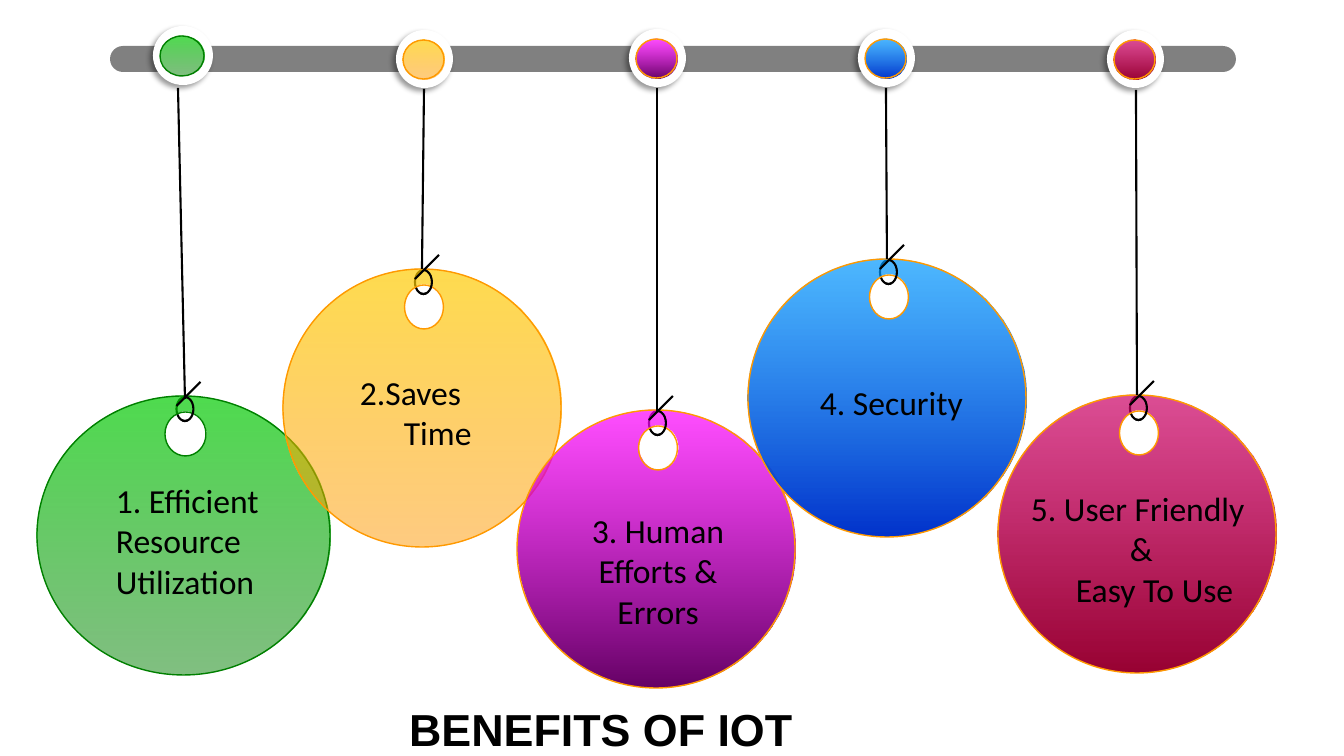
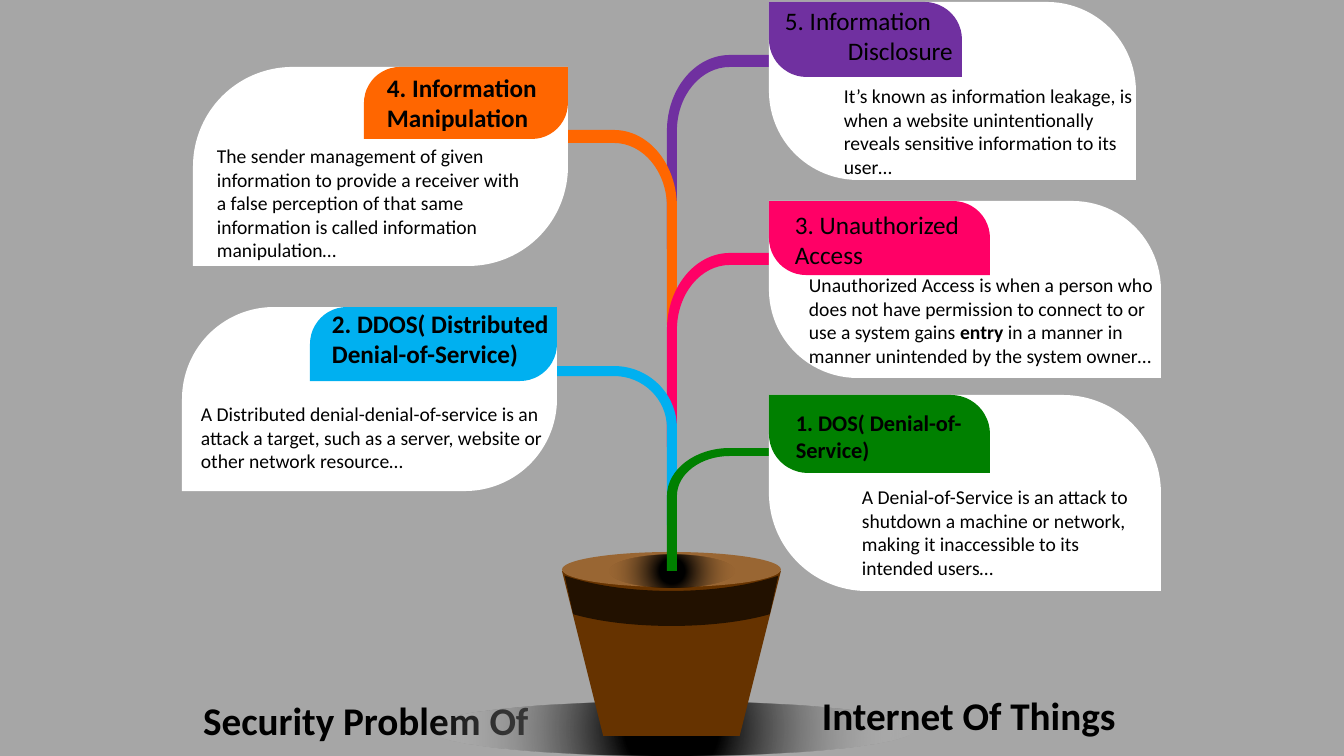
import math
from lxml import etree
from pptx import Presentation
from pptx.dml.color import RGBColor
from pptx.enum.shapes import MSO_CONNECTOR, MSO_SHAPE
from pptx.enum.text import MSO_ANCHOR, MSO_AUTO_SIZE, PP_ALIGN
from pptx.oxml.ns import qn
from pptx.util import Pt

PX = 914400 / 100.8
LEFT, CENTER = PP_ALIGN.LEFT, PP_ALIGN.CENTER
TOP, NO_FIT = MSO_ANCHOR.TOP, MSO_AUTO_SIZE.NONE
ELLIPSE, ARC, TRAPEZOID = MSO_SHAPE.OVAL, MSO_SHAPE.ARC, MSO_SHAPE.TRAPEZOID
BAR, LEAF = MSO_SHAPE.ROUNDED_RECTANGLE, MSO_SHAPE.ROUND_2_DIAG_RECTANGLE
STRAIGHT = MSO_CONNECTOR.STRAIGHT

COLORS = {
    "black": "000000", "white": "FFFFFF", "bar": "808080", "backdrop": "A6A6A6",
    "green": "008000", "orange": "FF9900", "haze": "D9D9D9",
    "pot": "663300", "soil": "996633", "band": "221100",
    "purple": "7030A0", "tangerine": "FF6600", "pink": "FF0066", "sky": "00B0F0",
}
HEADING = {"name": "Calibri", "size": Pt(28), "bold": True}
BENEFIT = {"name": "Calibri", "size": Pt(24), "bold": False}
BODY = {"name": "Calibri", "size": Pt(14), "bold": False}


def px(*values):
    return [round(v * PX) for v in values]


def rgb(name):
    return RGBColor.from_string(COLORS[name])


def finish(sh, fill=None, line=None, width=1):
    sh.shadow.inherit = False
    if fill:
        sh.fill.solid()
        sh.fill.fore_color.rgb = rgb(fill)
    else:
        sh.fill.background()
    if line:
        sh.line.color.rgb = rgb(line)
        sh.line.width = Pt(width)
    else:
        sh.line.fill.background()
    return sh


def add(s, kind, box, fill=None, line=None, width=1, adj=(), flip=None):
    sh = s.shapes.add_shape(kind, *px(*box))
    for i, value in enumerate(adj):
        sh.adjustments[i] = value
    if flip:
        sh.element.spPr.find(qn("a:xfrm")).set(flip, "1")
    return finish(sh, fill, line, width)


def gradient(sh, stops, radial=False):
    sh.fill.gradient()
    grad = sh.element.spPr.find(qn("a:gradFill"))
    grad.clear()
    gs_list = etree.SubElement(grad, qn("a:gsLst"))
    for pos, color, alpha in stops:
        gs = etree.SubElement(gs_list, qn("a:gs"), pos=str(pos * 1000))
        clr = etree.SubElement(gs, qn("a:srgbClr"), val=color)
        etree.SubElement(clr, qn("a:alpha"), val=str(alpha * 1000))
    if radial:
        shade = etree.SubElement(grad, qn("a:path"))
        shade.set("path", "circle")
        etree.SubElement(shade, qn("a:fillToRect"), {side: "50000" for side in "ltrb"})
    else:
        etree.SubElement(grad, qn("a:lin"), ang="5400000", scaled="0")


def arc(cx, cy, rx, ry, start=0, end=360):
    count = math.ceil(abs(end - start) / 90)
    step = math.radians((end - start) / count)
    pull = 4 / 3 * math.tan(step / 4)
    points = []
    for i in range(count + 1):
        a = math.radians(start) + i * step
        cos, sin = math.cos(a), math.sin(a)
        x, y = cx + rx * cos, cy + ry * sin
        dx, dy = -pull * rx * sin, pull * ry * cos
        if i:
            points.append((x - dx, y - dy, "control"))
        points.append((x, y))
        if i < count:
            points.append((x + dx, y + dy, "control"))
    return points


def outline(s, *contours):
    first, *others = [[px(*point[:2]) for point in c] for c in contours]
    builder = s.shapes.build_freeform(*first[0])
    builder.add_line_segments(first[1:], close=True)
    for c in others:
        builder.move_to(*c[0])
        builder.add_line_segments(c[1:], close=True)
    sh = builder.convert_to_shape()
    geometry = next(sh.element.iter(qn("a:path")))
    nodes = [n for n in geometry if n.tag != qn("a:close")]
    controls = [len(point) == 3 for c in contours for point in c]
    for i, control in enumerate(controls):
        if control and not controls[i - 1]:
            curve = etree.Element(qn("a:cubicBezTo"))
            nodes[i].addprevious(curve)
            for n in nodes[i:i + 3]:
                curve.append(n[0])
                geometry.remove(n)
    return sh


def line(s, start, end):
    c = s.shapes.add_connector(STRAIGHT, *px(*start, *end))
    c.line.color.rgb = rgb("black")
    c.line.width = Pt(1.5)
    etree.SubElement(c.element.spPr, qn("a:effectLst"))


def write(sh, paragraphs, fmt, align=LEFT):
    tf = sh.text_frame
    for key, value in {"word_wrap": True, "auto_size": NO_FIT, "vertical_anchor": TOP}.items():
        setattr(tf, key, value)
    for i, (text, indent) in enumerate(paragraphs):
        p = tf.paragraphs[0] if i == 0 else tf.add_paragraph()
        p.alignment = align
        if indent:
            p._p.get_or_add_pPr().set("marL", str(px(indent)[0]))
        for j, part in enumerate(text.split("*")):
            r = p.add_run()
            r.text = part
            for key, value in fmt.items():
                setattr(r.font, key, value)
            r.font.color.rgb = rgb("black")
            if j % 2:
                r.font.bold = True


def text_box(s, box, paragraphs, fmt, align=LEFT):
    write(s.shapes.add_textbox(*px(*box)), paragraphs, fmt, align)


def new_slide(prs, background, title, box, fmt):
    s = prs.slides.add_slide(prs.slide_layouts[5])
    s.background.fill.solid()
    s.background.fill.fore_color.rgb = rgb(background)
    sh = s.shapes.title
    sh.left, sh.top, sh.width, sh.height = px(*box)
    write(sh, [(title, 0)], fmt)
    return s


def pin(s, box, stops, edge):
    x, y, w, h = box
    ring = add(s, ELLIPSE, box, "white")
    effects = ring.element.spPr.find(qn("a:effectLst"))
    shadow = etree.SubElement(effects, qn("a:outerShdw"), blurRad=str(Pt(4)),
                              dist=str(Pt(3)), dir="8100000", algn="tr", rotWithShape="0")
    clr = etree.SubElement(shadow, qn("a:srgbClr"), val=COLORS["black"])
    etree.SubElement(clr, qn("a:alpha"), val="40000")
    gradient(add(s, ELLIPSE, (x + 7, y + 10, w - 16, h - 19), line=edge), stops)


def tag(s, box, ring, string, stops, edge):
    x, y, w, h = box
    cx, cy = x + w / 2, y + h / 2
    hook = {"kind": ARC, "box": (cx - 7, y + 1, 17, 24), "line": "black",
            "width": 1.5, "adj": (162, 61.91)}
    add(s, flip="flipH", **hook)
    disc = outline(s, arc(cx, cy, w / 2, h / 2), arc(cx + 2, y + 38, w * 0.07, 22))
    gradient(finish(disc, line=edge), stops)
    pin(s, ring, stops, edge)
    line(s, *string)
    add(s, **hook)
    line(s, (cx - 7, y + 10), (cx + 17, y - 14))


def stem(s, side, color, top, thick, bend, bottom):
    middle, half = 672, 5
    elbow, tip = middle + side * 58, middle + side * 117
    outer, inner = middle - side * half, middle + side * half
    turn = 180 if side > 0 else 360
    outside = arc(elbow, bend, 58 + half, bend - top, 270, turn)
    inside = arc(elbow, bend, 58 - half, bend - top - thick, turn, 270)
    finish(outline(s, [(tip, top), *outside, (outer, bottom), (inner, bottom),
                       *inside, (tip, top + thick)]), color)


def pot(s, x, y, w):
    cx = x + w / 2
    glow = add(s, ELLIPSE, (x - 134, y + 150, 487, 54))
    gradient(glow, [(19, COLORS["black"], 100), (100, COLORS["haze"], 0)], True)
    add(s, TRAPEZOID, (x, y + 19, w, 165), "pot", flip="flipV")
    add(s, ELLIPSE, (x, y, w, 35), "soil")
    finish(outline(s, arc(cx, y + 34, 139, 40, 45, 135)
                   + arc(cx, y - 13, 151, 52, 135, 45)), "band")
    hollow = add(s, ELLIPSE, (x + 48, y + 3, 124, 33))
    gradient(hollow, [(19, COLORS["black"], 100), (100, COLORS["soil"], 0)], True)


def leaf(s, side, color, box, label, head, head_text, head_fmt, body, body_text):
    x, y, w, h = box
    label_w, label_h = label
    label_x = x if side > 0 else x + w - label_w
    flip = "flipH" if side > 0 else None
    for part, fill in ((box, "white"), ((label_x, y, label_w, label_h), color)):
        add(s, LEAF, part, fill, adj=(0.5, 0), flip=flip)
    for (dx, dy, bw, bh), text, fmt in ((head, head_text, {"name": "Calibri", **head_fmt}),
                                        (body, [(body_text, 0)], BODY)):
        text_box(s, (x + dx, y + dy, bw, bh), text, fmt)


def benefits(prs):
    s = new_slide(prs, "white", "BENEFITS OF IOT", (399, 697, 545, 65),
                  {"name": "Arial", "size": Pt(32), "bold": True})
    add(s, BAR, (110, 46, 1126, 26), "bar", adj=(0.5,))
    tags = [
        ((37, 396, 293, 279), (153, 26, 60, 59), ((178, 88), (185, 399)),
         ("00CC00", 70, "008000", 50), "green",
         (106, 475, 181, 132), [("1. Efficient Resource Utilization", 0)], LEFT),
        ((283, 269, 278, 278), (396, 30, 57, 58), ((424, 89), (422, 269)),
         ("FFCC00", 70, "FF9900", 50), "orange",
         (350, 367, 147, 92), [("2.Saves", 0), ("Time", 44)], LEFT),
        ((517, 410, 278, 278), (629, 29, 57, 58), ((657, 88), (657, 411)),
         ("FF00FF", 70, "660066", 100), "orange",
         (574, 505, 168, 132), [("3. Human Efforts & Errors", 0)], CENTER),
        ((748, 259, 278, 278), (858, 29, 57, 58), ((886, 88), (887, 259)),
         ("0099FF", 70, "0033CC", 100), "orange",
         (810, 377, 165, 50), [("4. Security", 0)], LEFT),
        ((998, 395, 278, 278), (1107, 30, 57, 58), ((1136, 90), (1137, 395)),
         ("CC0066", 70, "990033", 100), "orange",
         (1021, 483, 250, 132),
         [("5. User Friendly", 0), ("&", 99), ("Easy To Use", 45)], LEFT),
    ]
    for box, ring, string, (top, top_a, low, low_a), edge, area, text, align in tags:
        tag(s, box, ring, string, [(0, top, top_a), (100, low, low_a)], edge)
        text_box(s, area, text, BENEFIT, align)


def problems(prs):
    s = new_slide(prs, "backdrop", "Security Problem Of", (193, 691, 353, 57), HEADING)
    pot(s, 562, 552, 219)
    for side, color, top, thick, bend, bottom in (
            (1, "purple", 55, 12, 131, 249),
            (-1, "tangerine", 130, 13, 207, 325),
            (1, "pink", 253, 12, 330, 447),
            (-1, "sky", 366, 10, 428, 525),
            (1, "green", 448, 8, 496, 571)):
        stem(s, side, color, top, thick, bend, bottom)
    strong = {"size": Pt(18), "bold": True}
    plain = {"size": Pt(18), "bold": False}
    leaves = [
        (1, "green", (769, 395, 392, 196), (221, 78),
         (17, 9, 204, 71), [("1. DOS( Denial-of-Service)", 0)],
         {"size": Pt(16), "bold": True}, (83, 85, 312, 115),
         "A Denial-of-Service is an attack to shutdown a machine or network, "
         "making it inaccessible to its intended users…"),
        (-1, "sky", (182, 307, 375, 184), (247, 74),
         (140, -4, 247, 72), [("2. DDOS( Distributed Denial-of-Service)", 0)],
         strong, (9, 90, 362, 82),
         "A Distributed denial-denial-of-service is an attack a target, "
         "such as a server, website or other network resource…"),
        (1, "pink", (769, 201, 392, 177), (221, 74),
         (16, 3, 200, 72), [("3. Unauthorized Access", 0)],
         plain, (30, 67, 384, 105),
         "Unauthorized Access is when a person who does not have permission to connect "
         "to or use a system gains *entry *in a manner in manner unintended by the "
         "system owner…"),
        (-1, "tangerine", (193, 67, 375, 199), (204, 72),
         (184, 0, 230, 72), [("4. Information Manipulation", 0)],
         strong, (14, 72, 327, 129),
         "The sender management of given information to provide a receiver with a false "
         "perception of that same information is called information manipulation…"),
        (1, "purple", (769, 2, 367, 178), (193, 75),
         (6, -2, 200, 72), [("5. Information", 0), ("Disclosure", 63)],
         plain, (65, 77, 312, 105),
         "It’s known as information leakage, is when a website unintentionally reveals "
         "sensitive information to its user…"),
    ]
    for parts in leaves:
        leaf(s, *parts)
    text_box(s, (812, 686, 353, 57), [("Internet Of Things", 0)], HEADING)


prs = Presentation()
prs.slide_width, prs.slide_height = px(1344, 756)
benefits(prs)
problems(prs)
prs.save("out.pptx")
